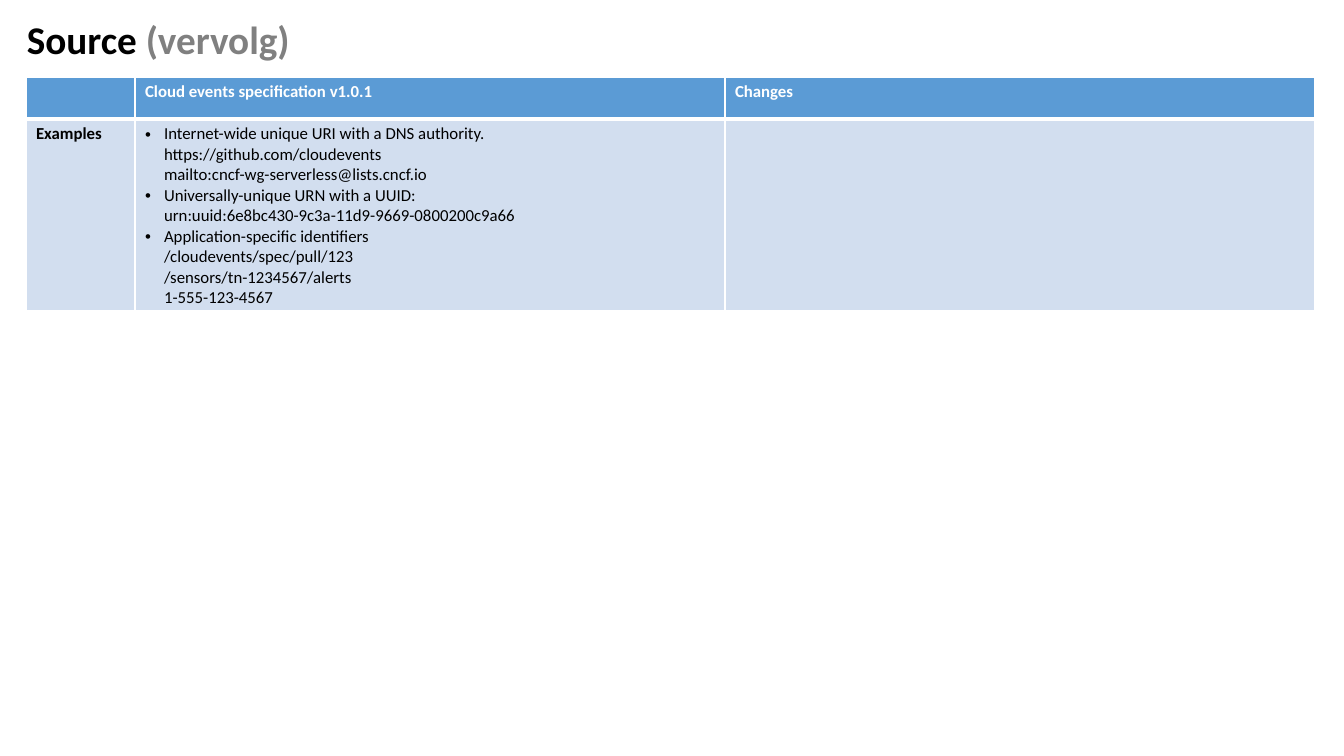
from dataclasses import dataclass

from lxml import etree
from pptx import Presentation
from pptx import util as u
from pptx.dml.color import RGBColor
from pptx.enum import text
from pptx.oxml import ns

EMU_PER_PX = 914400 / 100.8
FONT = "Calibri"
BLACK, WHITE, GREY = "000000", "FFFFFF", "808080"
HEADER_BLUE, BODY_BLUE = "5B9BD5", "D2DEEF"
BULLET_INDENT = 19
COLUMN_WIDTHS = (109, 590, 590)


@dataclass(frozen=True)
class CellContent:
    paragraphs: tuple[str, ...] = ()
    bold: bool = True
    bulleted: bool = False


@dataclass(frozen=True)
class RowStyle:
    height: int
    fill: str
    color: str
    top_border: int
    bottom_border: int


HEADER = RowStyle(42, HEADER_BLUE, WHITE, 1, 3)
BODY = RowStyle(192, BODY_BLUE, BLACK, 3, 1)

EXAMPLES = (
    "Internet-wide unique URI with a DNS authority.\n"
    "https://github.com/cloudevents\n"
    "mailto:cncf-wg-serverless@lists.cncf.io",
    "Universally-unique URN with a UUID:\n"
    "urn:uuid:6e8bc430-9c3a-11d9-9669-0800200c9a66",
    "Application-specific identifiers\n"
    "/cloudevents/spec/pull/123\n"
    "/sensors/tn-1234567/alerts\n"
    "1-555-123-4567",
)

ROWS = (
    (HEADER, (CellContent(),
              CellContent(("Cloud events specification v1.0.1",)),
              CellContent(("Changes",)))),
    (BODY, (CellContent(("Examples",)),
            CellContent(EXAMPLES, bold=False, bulleted=True),
            CellContent())),
)


def px(length: int) -> u.Emu:
    return u.Emu(round(length * EMU_PER_PX))


def rgb(color: str) -> RGBColor:
    return RGBColor.from_string(color)


def set_font(font, size: int, bold: bool) -> None:
    font.name = FONT
    font.size = u.Pt(size)
    font.bold = bold


def add_bullet(paragraph) -> None:
    properties = paragraph._p.get_or_add_pPr()
    properties.set("marL", str(px(BULLET_INDENT)))
    properties.set("indent", str(-px(BULLET_INDENT)))
    etree.SubElement(properties, ns.qn("a:buFont"), typeface="Arial")
    etree.SubElement(properties, ns.qn("a:buChar"), char="•")


def set_borders(cell, style: RowStyle) -> None:
    properties = cell._tc.get_or_add_tcPr()
    widths = {"L": 1, "R": 1, "T": style.top_border, "B": style.bottom_border}
    for side, width in widths.items():
        line = etree.SubElement(properties, ns.qn(f"a:ln{side}"), w=str(u.Pt(width)))
        fill = etree.SubElement(line, ns.qn("a:solidFill"))
        etree.SubElement(fill, ns.qn("a:srgbClr"), val=WHITE)


def fill_cell(cell, content: CellContent, style: RowStyle) -> None:
    set_borders(cell, style)
    cell.fill.solid()
    cell.fill.fore_color.rgb = rgb(style.fill)
    frame = cell.text_frame
    for index, wording in enumerate(content.paragraphs):
        paragraph = frame.add_paragraph() if index else frame.paragraphs[0]
        paragraph.text = wording
        if content.bulleted:
            add_bullet(paragraph)
        set_font(paragraph.font, 12, content.bold)
        paragraph.font.color.rgb = rgb(style.color)


def add_title(slide) -> None:
    frame = slide.shapes.add_textbox(px(17), px(7), px(600), px(70)).text_frame
    frame.word_wrap = True
    frame.vertical_anchor = text.MSO_ANCHOR.MIDDLE
    paragraph = frame.paragraphs[0]
    paragraph.line_spacing = 0.9
    set_font(paragraph.font, 28, True)
    for wording, color in (("Source ", BLACK), ("(vervolg)", GREY)):
        run = paragraph.add_run()
        run.text = wording
        run.font.color.rgb = rgb(color)


def add_comparison_table(slide) -> None:
    height = sum(style.height for style, _ in ROWS)
    table = slide.shapes.add_table(len(ROWS), len(COLUMN_WIDTHS), px(26), px(77),
                                   px(sum(COLUMN_WIDTHS)), px(height)).table
    for column, width in zip(table.columns, COLUMN_WIDTHS):
        column.width = px(width)
    for row, (style, contents) in zip(table.rows, ROWS):
        row.height = px(style.height)
        for cell, content in zip(row.cells, contents):
            fill_cell(cell, content, style)


def main() -> None:
    presentation = Presentation()
    presentation.slide_width = px(1344)
    presentation.slide_height = px(756)
    slide = presentation.slides.add_slide(presentation.slide_layouts[6])

    # Heading
    add_title(slide)

    # Specification beside its changes
    add_comparison_table(slide)

    presentation.save("out.pptx")


if __name__ == "__main__":
    main()
